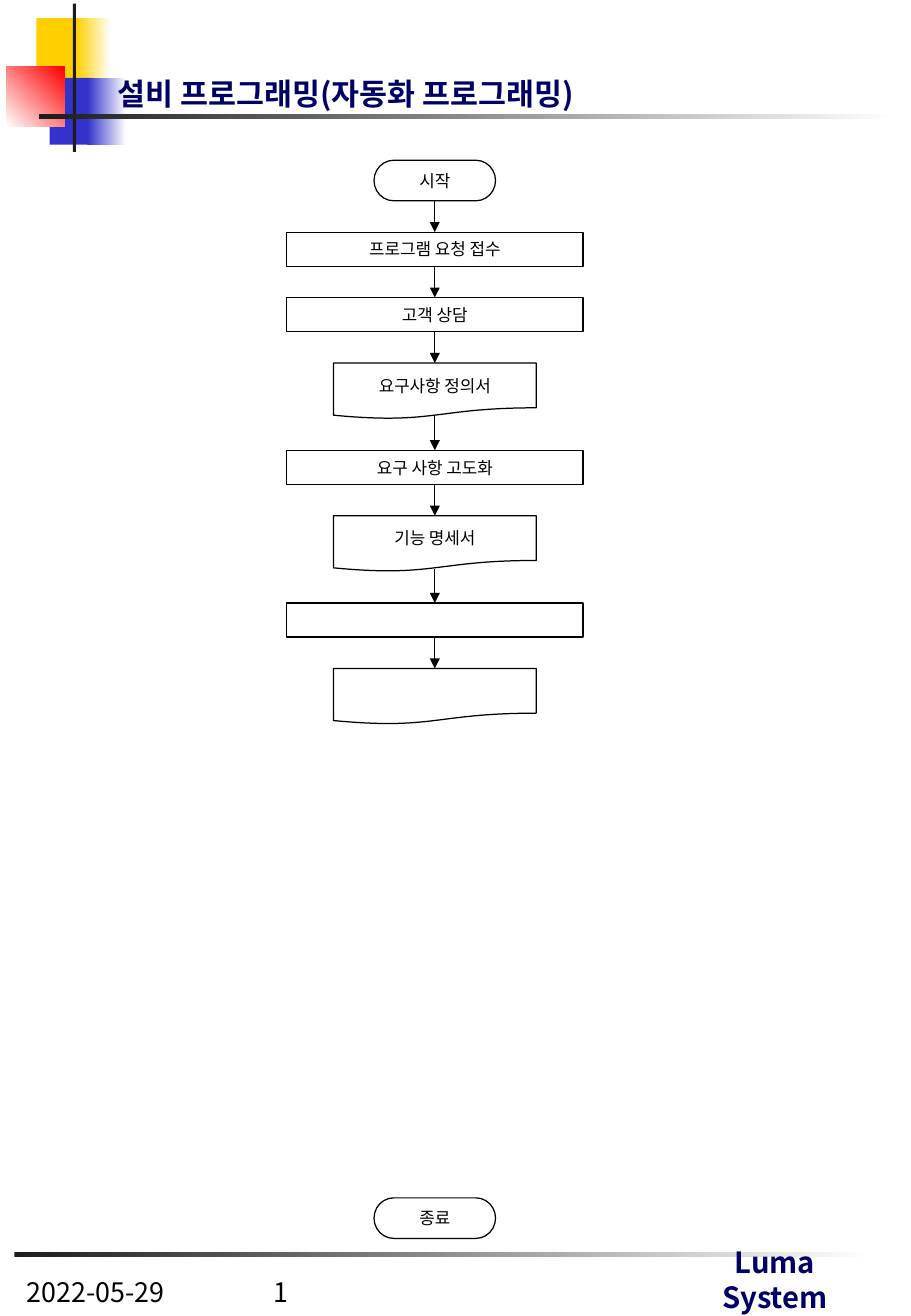
from pptx import Presentation
from pptx import util as u
from pptx.dml.color import RGBColor
from pptx.enum import shapes, text
from pptx.oxml import ns
from lxml import etree

Pt = u.Pt
FONT = "Noto Sans CJK KR"
COLORS = {"ink": "000000", "navy": "000066", "dark": "1C1C1C", "white": "FFFFFF",
          "yellow": "FFCF01", "blue": "3333CC", "red": "FF0000"}
KINDS = {
    "terminator": (shapes.MSO_SHAPE.FLOWCHART_TERMINATOR, 72, 24, 1),
    "process": (shapes.MSO_SHAPE.FLOWCHART_PROCESS, 175.7, 20.2, 1),
    "document": (shapes.MSO_SHAPE.FLOWCHART_DOCUMENT, 120.2, 33.1, 0.95),
}
STEPS = [
    ("terminator", "시작"), ("process", "프로그램 요청 접수"),
    ("process", "고객 상담"), ("document", "요구사항 정의서"),
    ("process", "요구 사항 고도화"), ("document", "기능 명세서"),
    ("process", ""), ("document", ""),
]
STEP_GAP = 18.6
LABEL = {"size": 10, "color": "ink", "bold": False}
FOOTER = {"size": 15.9, "color": "ink", "bold": False}
TITLE = {"size": 18, "color": "navy", "bold": True}
BRAND = {"size": 17.3, "color": "navy", "bold": True}


def rgb(name):
    return RGBColor.from_string(COLORS[name])


def write(shape, words, style, align, anchor, margins):
    frame = shape.text_frame
    settings = {"word_wrap": True, "auto_size": text.MSO_AUTO_SIZE.NONE,
                "vertical_anchor": anchor}
    settings.update(zip(("margin_left", "margin_top", "margin_right", "margin_bottom"),
                        (Pt(margin) for margin in margins)))
    for name, value in settings.items():
        setattr(frame, name, value)
    paragraph = frame.paragraphs[0]
    paragraph.alignment = align
    run = paragraph.add_run()
    run.text = words
    for name, value in {"name": FONT, "size": Pt(style["size"]),
                        "bold": style["bold"]}.items():
        setattr(run.font, name, value)
    run.font.color.rgb = rgb(style["color"])
    east_asian = etree.SubElement(run.font._element, ns.qn("a:ea"))
    east_asian.set("typeface", FONT)


def add_block(slide, box, colors, angle=0):
    shape = slide.shapes.add_shape(shapes.MSO_SHAPE.RECTANGLE, *map(Pt, box))
    shape.shadow.inherit = False
    shape.line.fill.background()
    if len(colors) == 1:
        shape.fill.solid()
        shape.fill.fore_color.rgb = rgb(colors[0])
    else:
        shape.fill.gradient()
        shape.fill.gradient_angle = angle
        for stop, color in zip(shape.fill.gradient_stops, colors):
            stop.color.rgb = rgb(color)


def add_text(slide, box, words, style, align, anchor, margins):
    shape = slide.shapes.add_textbox(*map(Pt, box))
    write(shape, words, style, align, anchor, margins)


def add_header(slide, left, top, width):
    for x, y, w, h, colors, angle in [
        (18, 8.6, 27.4, 39.6, ["yellow"], 0),
        (41.8, 8.6, 20.2, 39.6, ["yellow", "white"], 0),
        (25.9, 43.9, 25.9, 39.6, ["blue"], 0),
        (48.2, 43.9, 23, 39.6, ["blue", "white"], 0),
        (0, 37.4, 34.6, 35.3, ["white", "red"], 45),
        (39.6, 0, 1.8, 87.8, ["dark"], 0),
        (19.4, 65.5, width - 19.4, 2.9, ["dark", "white"], 0),
    ]:
        add_block(slide, (left + x, top + y, w, h), colors, angle)
    title = slide.shapes.title
    position = (left + 59, top + 41.7, width - 66, 25.9)
    for name, value in zip(("left", "top", "width", "height"), position):
        setattr(title, name, Pt(value))
    write(title, "설비 프로그래밍(자동화 프로그래밍)", TITLE,
          text.PP_ALIGN.LEFT, text.MSO_ANCHOR.BOTTOM, (7.2, 3.6, 7.2, 3.6))
    slide.shapes._spTree.append(title._element)


def add_footer(slide, left, top, width):
    add_block(slide, (left, top, width, 2.9), ["dark", "white"])
    add_text(slide, (left + 415.8, top - 4.7, 70, 50), "Luma System", BRAND,
             text.PP_ALIGN.CENTER, text.MSO_ANCHOR.TOP, (0, 0, 0, 0))
    for x, w, words in [(0, 112.3, "2022-05-29"), (146.2, 234.7, "1")]:
        add_text(slide, (left + x, top + 16.2, w, 20.2), words, FOOTER,
                 text.PP_ALIGN.LEFT, text.MSO_ANCHOR.BOTTOM, (7.2, 3.6, 7.2, 3.6))


def add_step(slide, center, top, kind, words):
    preset, width, height, exit_share = KINDS[kind]
    shape = slide.shapes.add_shape(
        preset, Pt(center - width / 2), Pt(top), Pt(width), Pt(height))
    shape.shadow.inherit = False
    shape.fill.background()
    shape.line.color.rgb = rgb("ink")
    shape.line.width = Pt(0.75)
    if words:
        write(shape, words, LABEL, text.PP_ALIGN.CENTER,
              text.MSO_ANCHOR.MIDDLE, (0, 0, 0, 0))
    return shape, top + height * exit_share, top + height


def add_arrow(slide, center, source, start, target, end):
    arrow = slide.shapes.add_connector(
        shapes.MSO_CONNECTOR.STRAIGHT, Pt(center), Pt(start), Pt(center), Pt(end))
    arrow.begin_connect(source, 2)
    arrow.end_connect(target, 0)
    for name, value in {"begin_x": center, "begin_y": start,
                        "end_x": center, "end_y": end}.items():
        setattr(arrow, name, Pt(value))
    arrow.line.color.rgb = rgb("ink")
    arrow.line.width = Pt(0.75)
    head = etree.SubElement(arrow.line._get_or_add_ln(), ns.qn("a:tailEnd"))
    head.set("type", "triangle")
    etree.SubElement(arrow._element.spPr, ns.qn("a:effectLst"))


def add_flow(slide, left, top, width, height):
    center = left + width / 2
    step_top = top
    previous = None
    for kind, words in STEPS:
        shape, exit_y, bottom = add_step(slide, center, step_top, kind, words)
        if previous:
            add_arrow(slide, center, *previous, shape, step_top)
        previous = shape, exit_y
        step_top = bottom + STEP_GAP
    end_height = KINDS["terminator"][2]
    add_step(slide, center, top + height - end_height, "terminator", "종료")


def main():
    presentation = Presentation()
    presentation.slide_width = Pt(540)
    presentation.slide_height = Pt(780)
    slide = presentation.slides.add_slide(presentation.slide_layouts[5])
    add_header(slide, 3.6, 2.2, 527.8)
    add_footer(slide, 8.6, 742.3, 508.3)
    add_flow(slide, 169.9, 95, 175.7, 639)
    presentation.save("out.pptx")


main()
